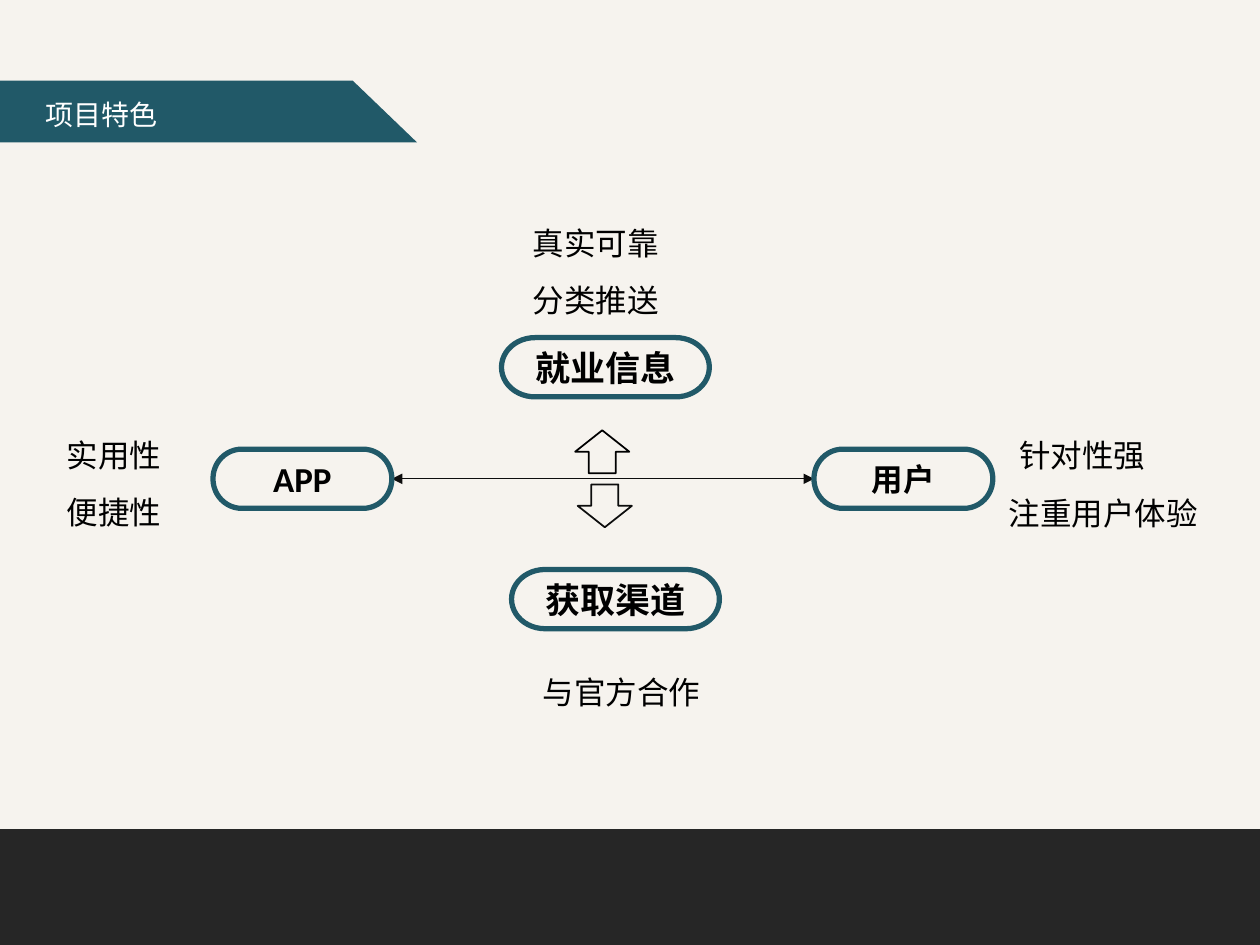
from lxml import etree
from pptx import Presentation
from pptx.dml.color import RGBColor
from pptx.enum.shapes import MSO_CONNECTOR, MSO_SHAPE
from pptx.enum.text import MSO_ANCHOR, MSO_AUTO_SIZE, PP_ALIGN
from pptx.oxml.ns import qn
from pptx.util import Inches, Pt

CJK_FONT = "Noto Sans CJK SC"
CREAM, CHARCOAL, TEAL = "F6F3EE", "262626", "215968"
BLACK, INK, WHITE = "000000", "0D0D0D", "FFFFFF"


def color(hex_string):
    return RGBColor.from_string(hex_string)


def format_text(text_frame, size, hex_string, bold=False, font=CJK_FONT,
                align=PP_ALIGN.LEFT, spacing=1.0):
    for paragraph in text_frame.paragraphs:
        paragraph.alignment = align
        paragraph.line_spacing = spacing
        for run in paragraph.runs:
            run.font.size = Pt(size)
            run.font.bold = bold
            run.font.name = font
            run.font.color.rgb = color(hex_string)
            east_asian = etree.SubElement(run.font._element, qn("a:ea"))
            east_asian.set("typeface", font)


def add_outlined_shape(slide, kind, box, hex_string, width):
    shape = slide.shapes.add_shape(kind, *map(Inches, box))
    shape.shadow.inherit = False
    shape.fill.background()
    shape.line.color.rgb = color(hex_string)
    shape.line.width = Pt(width)
    return shape


def add_backdrop(slide, box):
    """Cream page with a dark band across the foot."""
    slide.background.fill.solid()
    slide.background.fill.fore_color.rgb = color(CREAM)
    band = slide.shapes.add_shape(MSO_SHAPE.RECTANGLE, *map(Inches, box))
    band.shadow.inherit = False
    band.fill.solid()
    band.fill.fore_color.rgb = color(CHARCOAL)
    band.line.fill.background()


def add_title_banner(slide, box, text):
    """Teal banner with a slanted right end, and the title on it."""
    left, top, width, height = box
    slant = 0.51
    builder = slide.shapes.build_freeform(Inches(left), Inches(top))
    builder.add_line_segments([
        (Inches(left + width - slant), Inches(top)),
        (Inches(left + width), Inches(top + height)),
        (Inches(left), Inches(top + height)),
    ])
    banner = builder.convert_to_shape()
    banner.shadow.inherit = False
    banner.fill.solid()
    banner.fill.fore_color.rgb = color(TEAL)
    banner.line.fill.background()

    title = slide.shapes.title
    title.left, title.top = Inches(left + 0.26), Inches(top + 0.08)
    title.width, title.height = Inches(2), Inches(0.37)
    title.text_frame.text = text
    title.text_frame.vertical_anchor = MSO_ANCHOR.TOP
    title.text_frame.auto_size = MSO_AUTO_SIZE.NONE
    format_text(title.text_frame, 16, WHITE)
    banner.element.addnext(title.element)  # bring the title in front


def add_node(slide, box, text, size=20, font=CJK_FONT):
    node = add_outlined_shape(slide, MSO_SHAPE.FLOWCHART_TERMINATOR, box, TEAL, 3)
    node.text_frame.text = text
    node.text_frame.vertical_anchor = MSO_ANCHOR.MIDDLE
    format_text(node.text_frame, size, BLACK, True, font, PP_ALIGN.CENTER)


def add_note(slide, box, text, spacing=1.5):
    note = slide.shapes.add_textbox(*map(Inches, box))
    note.text_frame.word_wrap = True
    note.text_frame.text = text
    format_text(note.text_frame, 18, BLACK, spacing=spacing)


def add_axis(slide, left, right, middle):
    """Two-headed line between the side nodes."""
    axis = slide.shapes.add_connector(
        MSO_CONNECTOR.STRAIGHT, Inches(left), Inches(middle),
        Inches(right), Inches(middle))
    axis.line.color.rgb = color(INK)
    axis.line.width = Pt(0.75)
    for end in ("headEnd", "tailEnd"):
        etree.SubElement(axis.line._get_or_add_ln(), qn(f"a:{end}"), type="triangle")
    etree.SubElement(axis.element.spPr, qn("a:effectLst"))


def add_diagram(slide, box):
    """Four nodes around a central axis, each with its notes."""
    left, top, width, height = box
    node_height, side_width, center_width = 0.47, 1.42, 1.65
    middle = top + height / 2
    side_top = middle - node_height / 2
    app_left, user_left = left + 1.26, left + 6.03

    # Axis and block arrows
    add_axis(slide, app_left + side_width, user_left, middle)
    for arrow_left, arrow_top, rotation, line in (
            (4.18, middle - 0.43, 270, BLACK), (4.20, middle, 90, INK)):
        arrow = add_outlined_shape(
            slide, MSO_SHAPE.RIGHT_ARROW,
            (left + arrow_left, arrow_top, 0.34, 0.43), line, 1)
        arrow.rotation = rotation

    # Nodes
    add_node(slide, (user_left, side_top, side_width, node_height), "用户", 18)
    add_node(slide, (app_left, side_top, side_width, node_height), "APP", font="Calibri")
    add_node(slide, (left + 3.55, top + 1.1, center_width, node_height), "就业信息")
    add_node(slide, (left + 3.63, top + 2.94, center_width, node_height), "获取渠道")

    # Notes beside the nodes
    add_note(slide, (left + 3.7, top, 1.81, 0.96), "真实可靠\n分类推送")
    add_note(slide, (left + 3.78, top + 3.56, 1.81, 0.5), "与官方合作")
    add_note(slide, (left, top + 1.68, 1.81, 1.01), "实用性\n便捷性")
    add_note(slide, (left + 7.56, top + 1.83, 1.81, 0.4), "针对性强", 1.0)
    add_note(slide, (left + 7.48, top + 2.29, 1.9, 0.4), "注重用户体验", 1.0)


def main():
    presentation = Presentation()
    presentation.slide_width, presentation.slide_height = Inches(10), Inches(7.5)
    slide = presentation.slides.add_slide(presentation.slide_layouts[5])
    add_backdrop(slide, (0, 6.58, 10, 0.92))
    add_title_banner(slide, (0, 0.64, 3.31, 0.49), "项目特色")
    add_diagram(slide, (0.43, 1.58, 9.37, 4.44))
    presentation.save("out.pptx")


if __name__ == "__main__":
    main()
